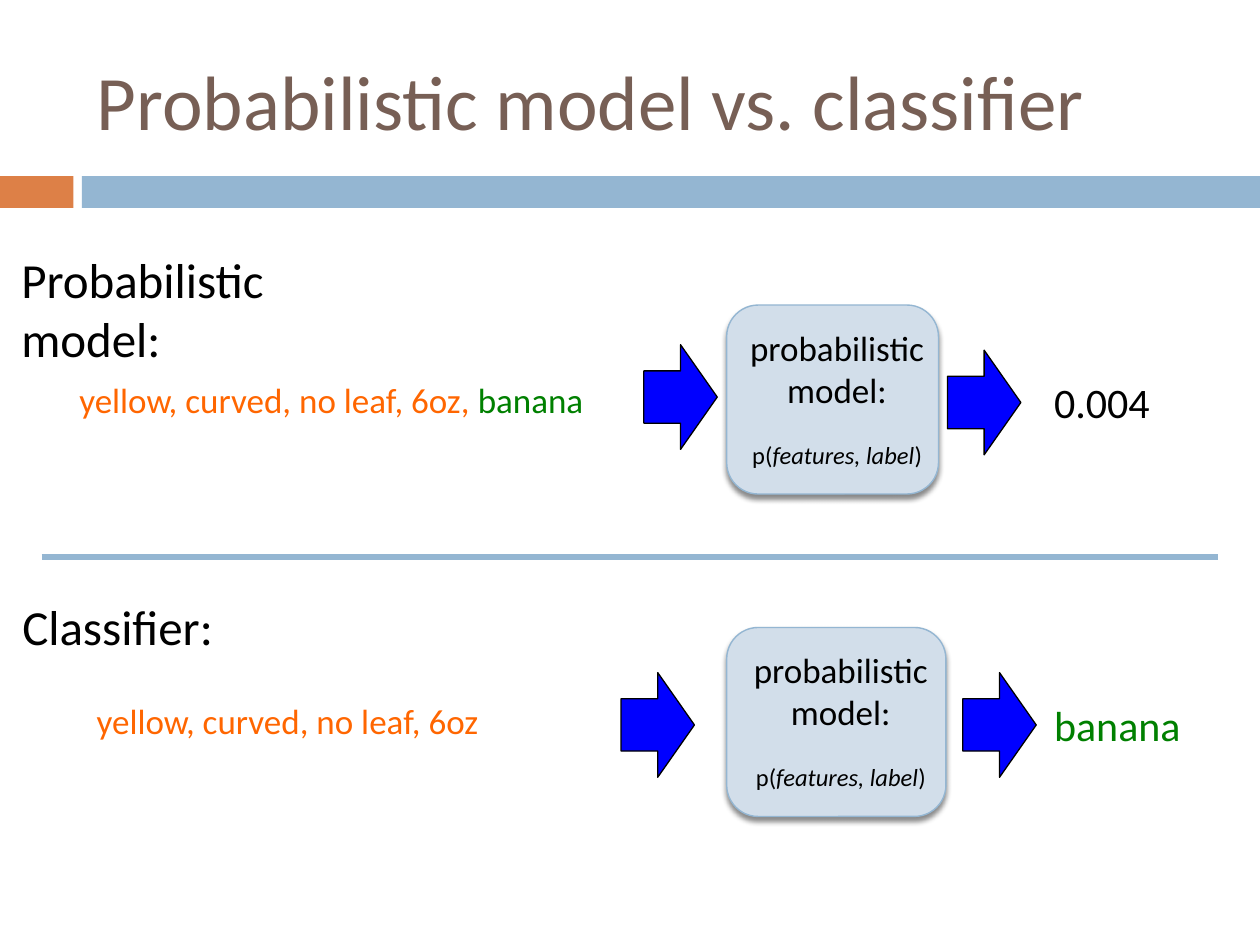
from lxml.etree import SubElement
from pptx import Presentation
from pptx.dml.color import RGBColor
from pptx.enum.shapes import MSO_CONNECTOR, MSO_SHAPE
from pptx.enum.text import MSO_ANCHOR, PP_ALIGN
from pptx.oxml.ns import qn
from pptx.util import Cm, Pt

THEME = dict(
    font="Calibri",
    title="775F55", text="000000", features="FF6600", label="008000",
    accent="DD8047", band="94B6D2", box="D2DEEA", arrow="0000FF",
    title_size=44, heading_size=28, result_size=24, body_size=20, small_size=14,
)

TITLE = "Probabilistic model vs. classifier"
# Runs are (text, colour name); places are left, top, width, height in cm.
ROWS = [
    dict(heading=("Probabilistic model:", (0.18, 4.9, 8.2, 1.45), True),
         features=([("yellow, curved, no leaf, 6oz, ", "features"), ("banana", "label")],
                   (1.35, 7.5, 10.8, 1.12)),
         box=(14.65, 6.15, 4.27, 3.81),
         arrows=[(12.98, 6.95), (19.1, 7.06)],
         result=("0.004", "text", (21, 7.47, 2.59, 1.27))),
    dict(heading=("Classifier:", (0.2, 11.91, 4.37, 1.45), False),
         features=([("yellow, curved, no leaf, 6oz", "features")],
                   (1.7, 13.97, 8.28, 1.12)),
         box=(14.65, 12.65, 4.42, 3.81),
         arrows=[(12.52, 13.56), (19.41, 13.56)],
         result=("banana", "label", (21, 13.97, 3.15, 1.27))),
]
MODEL_NAME = "probabilistic model:"
MODEL_FORMULA = [("p(", False), ("features, label", True), (")", False)]
BANDS = [("accent", (0, 3.55, 1.48, 0.64)), ("band", (1.65, 3.55, 23.75, 0.64))]
DIVIDER = (0.84, 11.23, 24.56, 11.23)
ARROW_SIZE = (1.48, 2.11)


def colour(name):
    return RGBColor.from_string(THEME[name])


def cm(values):
    return [Cm(v) for v in values]


def add_run(p, text, size, color="text", italic=False):
    r = p.add_run()
    r.text = text
    formats = dict(name=THEME["font"], size=Pt(THEME[size]), italic=italic)
    for key, value in formats.items():
        setattr(r.font, key, value)
    r.font.color.rgb = colour(color)


def add_text(s, place, runs, size, wrap=False):
    tf = s.shapes.add_textbox(*cm(place)).text_frame
    tf.word_wrap = wrap
    for text, color in runs:
        add_run(tf.paragraphs[0], text, size, color)
    return tf


def add_filled(s, kind, place, fill, line=None, width=0.75):
    sp = s.shapes.add_shape(kind, *cm(place))
    sp.shadow.inherit = False
    sp.fill.solid()
    sp.fill.fore_color.rgb = colour(fill)
    if line:
        sp.line.color.rgb = colour(line)
        sp.line.width = Pt(width)
    else:
        sp.line.fill.background()
    return sp


def add_drop_shadow(sp):
    effects = sp._element.spPr.find(qn("a:effectLst"))
    shadow = SubElement(effects, qn("a:outerShdw"), blurRad=str(Pt(3)),
                        dist=str(Pt(2.4)), dir="5400000", rotWithShape="0")
    black = SubElement(shadow, qn("a:srgbClr"), val=THEME["text"])
    SubElement(black, qn("a:alpha"), val="45000")


def add_model(s, place):
    """Rounded box with the model's name above its formula."""
    add_drop_shadow(add_filled(s, MSO_SHAPE.ROUNDED_RECTANGLE, place, "box", "band", 0.79))
    left, top, width, _ = place
    tf = add_text(s, (left, top + 0.3, width + 0.18, 3.18),
                  [(MODEL_NAME, "text")], "body_size", wrap=True)
    formula = tf.add_paragraph()
    formula.space_before = Pt(17)
    for text, italic in MODEL_FORMULA:
        add_run(formula, text, "small_size", italic=italic)
    for p in tf.paragraphs:
        p.alignment = PP_ALIGN.CENTER


def add_title(s):
    title = s.shapes.title
    for key, value in zip(("left", "top", "width", "height"), cm((1.7, 0.63, 22.66, 2.75))):
        setattr(title, key, value)
    tf = title.text_frame
    tf.vertical_anchor = MSO_ANCHOR.MIDDLE
    tf.paragraphs[0].alignment = PP_ALIGN.LEFT
    add_run(tf.paragraphs[0], TITLE, "title_size", "title")


def add_divider(s):
    line = s.shapes.add_connector(MSO_CONNECTOR.STRAIGHT, *cm(DIVIDER))
    line.line.color.rgb = colour("band")
    line.line.width = Pt(3)
    SubElement(line._element.spPr, qn("a:effectLst"))


def main():
    prs = Presentation()
    prs.slide_width, prs.slide_height = Cm(25.4), Cm(19.05)
    s = prs.slides.add_slide(prs.slide_layouts[5])
    for fill, place in BANDS:
        add_filled(s, MSO_SHAPE.RECTANGLE, place, fill)
    add_title(s)
    for row in ROWS:
        heading, place, wrap = row["heading"]
        add_text(s, place, [(heading, "text")], "heading_size", wrap)
        runs, place = row["features"]
        add_text(s, place, runs, "body_size")
        add_model(s, row["box"])
        for corner in row["arrows"]:
            add_filled(s, MSO_SHAPE.RIGHT_ARROW, corner + ARROW_SIZE, "arrow", "text")
        result, color, place = row["result"]
        add_text(s, place, [(result, color)], "result_size")
    add_divider(s)
    prs.save("out.pptx")


if __name__ == "__main__":
    main()
